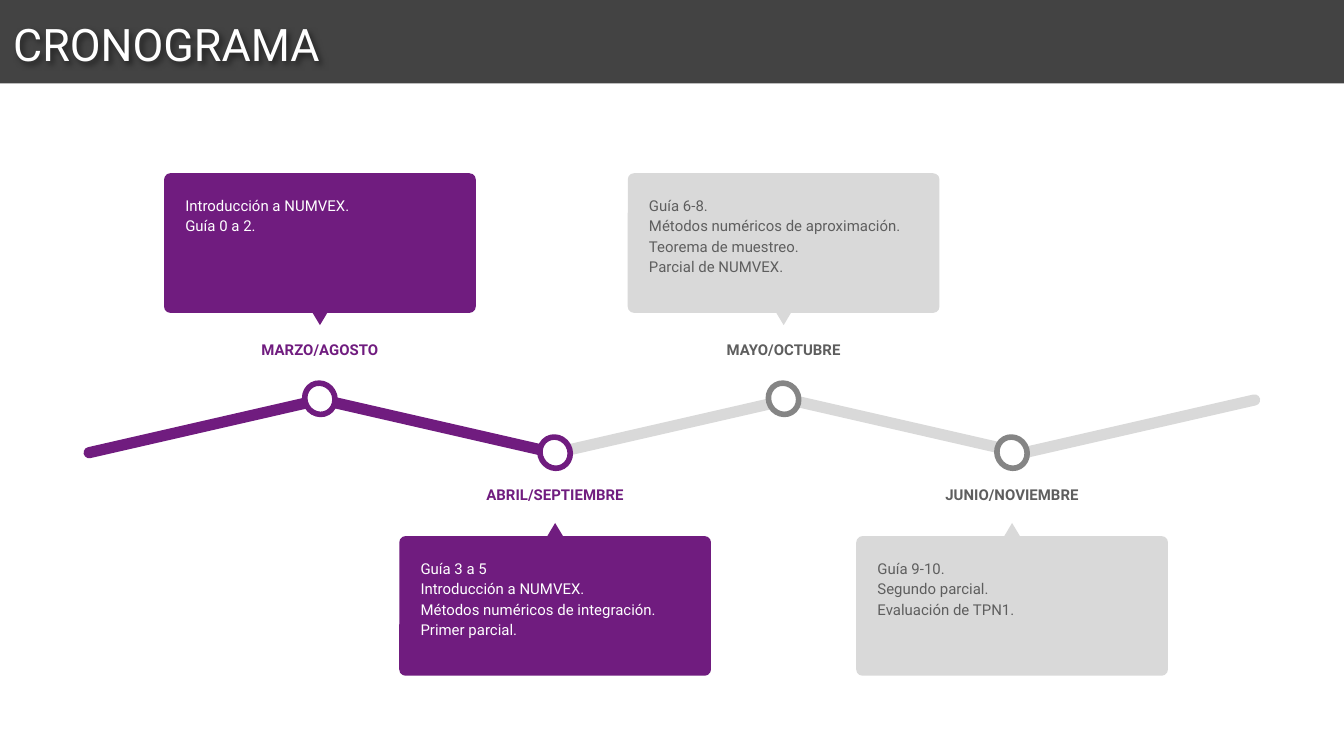
from dataclasses import dataclass

from lxml import etree
from pptx import Presentation
from pptx.dml.color import RGBColor
from pptx.enum.shapes import MSO_SHAPE
from pptx.enum.text import MSO_ANCHOR, PP_ALIGN
from pptx.oxml.ns import qn
from pptx.util import Pt

RECT, ROUND = MSO_SHAPE.RECTANGLE, MSO_SHAPE.ROUNDED_RECTANGLE
OVAL, TRIANGLE = MSO_SHAPE.OVAL, MSO_SHAPE.ISOSCELES_TRIANGLE
LEFT, CENTER = PP_ALIGN.LEFT, PP_ALIGN.CENTER
TOP, BOTTOM = MSO_ANCHOR.TOP, MSO_ANCHOR.BOTTOM


@dataclass(frozen=True)
class Theme:
    font: str = "Roboto"
    title_size: int = 24
    body_size: int = 8
    white: str = "FFFFFF"
    band: str = "434343"
    shadow: str = "000000"
    purple: str = "701C7F"
    light: str = "D9D9D9"
    ring: str = "858585"
    grey_text: str = "5E5E5E"


@dataclass(frozen=True)
class Style:
    fill: str
    ring: str
    label: str
    body: str


T = Theme()
DONE = Style(T.purple, T.purple, T.purple, T.white)
PENDING = Style(T.light, T.ring, T.grey_text, T.grey_text)

# Milestone: centre x, above the line?, style, label, card lines
MILESTONES = [
    (171.4, True, DONE, "MARZO/AGOSTO", ["Introducción a NUMVEX.", "Guía 0 a 2."]),
    (297.4, False, DONE, "ABRIL/SEPTIEMBRE",
     ["Guía 3 a 5", "Introducción a NUMVEX.",
      "Métodos numéricos de integración.", "Primer parcial."]),
    (419.8, True, PENDING, "MAYO/OCTUBRE",
     ["Guía 6-8.", "Métodos numéricos de aproximación.",
      "Teorema de muestreo.", "Parcial de NUMVEX."]),
    (542.2, False, PENDING, "JUNIO/NOVIEMBRE",
     ["Guía 9-10.", "Segundo parcial.", "Evaluación de TPN1."]),
]


def add_shape(s, kind, x, y, w, h, fill, line=None, adj=None, rot=0):
    sp = s.shapes.add_shape(kind, Pt(x), Pt(y), Pt(w), Pt(h))
    sp.shadow.inherit = False
    sp.fill.solid()
    sp.fill.fore_color.rgb = RGBColor.from_string(fill)
    if line:
        sp.line.color.rgb = RGBColor.from_string(line)
        sp.line.width = Pt(3)
    else:
        sp.line.fill.background()
    if adj is not None:
        sp.adjustments[0] = adj
    sp.rotation = rot
    return sp


def add_text(s, lines, x, y, w, h, color, size=T.body_size, bold=False,
             align=LEFT, anchor=TOP, spacing=1.15):
    sp = s.shapes.add_textbox(Pt(x), Pt(y), Pt(w), Pt(h))
    tf = sp.text_frame
    tf.word_wrap = True
    tf.vertical_anchor = anchor
    tf.margin_left = tf.margin_right = tf.margin_top = tf.margin_bottom = Pt(7.2)
    for i, line in enumerate(lines):
        p = tf.paragraphs[0] if i == 0 else tf.add_paragraph()
        p.alignment = align
        p.line_spacing = spacing
        r = p.add_run()
        r.text = line
        r.font.name = T.font
        r.font.size = Pt(size)
        r.font.bold = bold
        r.font.color.rgb = RGBColor.from_string(color)
    return sp


def add_soft_shadow(sp):
    # The box has no fill, so the shadow falls from its text
    effects = etree.SubElement(sp._element.spPr, qn("a:effectLst"))
    shadow = etree.SubElement(effects, qn("a:outerShdw"), blurRad="38100",
                              dist="28575", dir="2700000", algn="tl")
    color = etree.SubElement(shadow, qn("a:srgbClr"), val=T.shadow)
    etree.SubElement(color, qn("a:alpha"), val="50000")


def header(s, x, y, w, h):
    add_shape(s, RECT, x, y, w, h, T.band)
    sp = add_text(s, ["CRONOGRAMA"], x, y, w - 56, h, T.white,
                  size=T.title_size, anchor=BOTTOM, spacing=1.0)
    add_soft_shadow(sp)


def zigzag(s, x, y, w, h):
    # Five rods at an equal pitch, tilted alternately; the first two are done
    rod_w, count, tilt = 132.5, 5, 12.9
    pitch = (w - rod_w) / (count - 1)
    for i in reversed(range(count)):
        add_shape(s, ROUND, x + i * pitch, y, rod_w, h,
                  T.purple if i < 2 else T.light, adj=0.5,
                  rot=tilt if i % 2 else 360 - tilt)


def milestone(s, x, y, w, above, style, label, lines):
    # Vertical offsets run from card to ring above the line, ring to card below
    card_dy, tip_dy, label_dy, ring_dy = (
        (0, 74.2, 82.8, 112.3) if above else (53.2, 46.2, 19.2, 0))
    card_h, ring_w, tip_w, label_w = 74.8, 16, 8.6, 98
    cx = x + w / 2
    add_shape(s, OVAL, cx - ring_w / 2, y + ring_dy, ring_w, 17,
              T.white, line=style.ring, rot=330)
    add_text(s, [label], cx - label_w / 2, y + label_dy, label_w, 29.5,
             style.label, bold=True, align=CENTER)
    add_shape(s, ROUND, x, y + card_dy, w, card_h, style.fill, adj=0.045)
    add_shape(s, TRIANGLE, cx - tip_w / 2, y + tip_dy, tip_w, 7.2,
              style.fill, rot=180 if above else 0)
    add_text(s, lines, x + 4.3, y + card_dy + 3.8, w - 8.6, card_h - 8.6, style.body)


def main():
    prs = Presentation()
    prs.slide_width, prs.slide_height = Pt(720), Pt(405)
    s = prs.slides.add_slide(prs.slide_layouts[6])
    header(s, 0, 0, 720, 44.8)
    zigzag(s, 43.2, 225.4, 633.5, 6)
    card_w = 167
    for cx, above, style, label, lines in MILESTONES:
        milestone(s, cx - card_w / 2, 92.8 if above else 234, card_w,
                  above, style, label, lines)
    prs.save("out.pptx")


if __name__ == "__main__":
    main()
